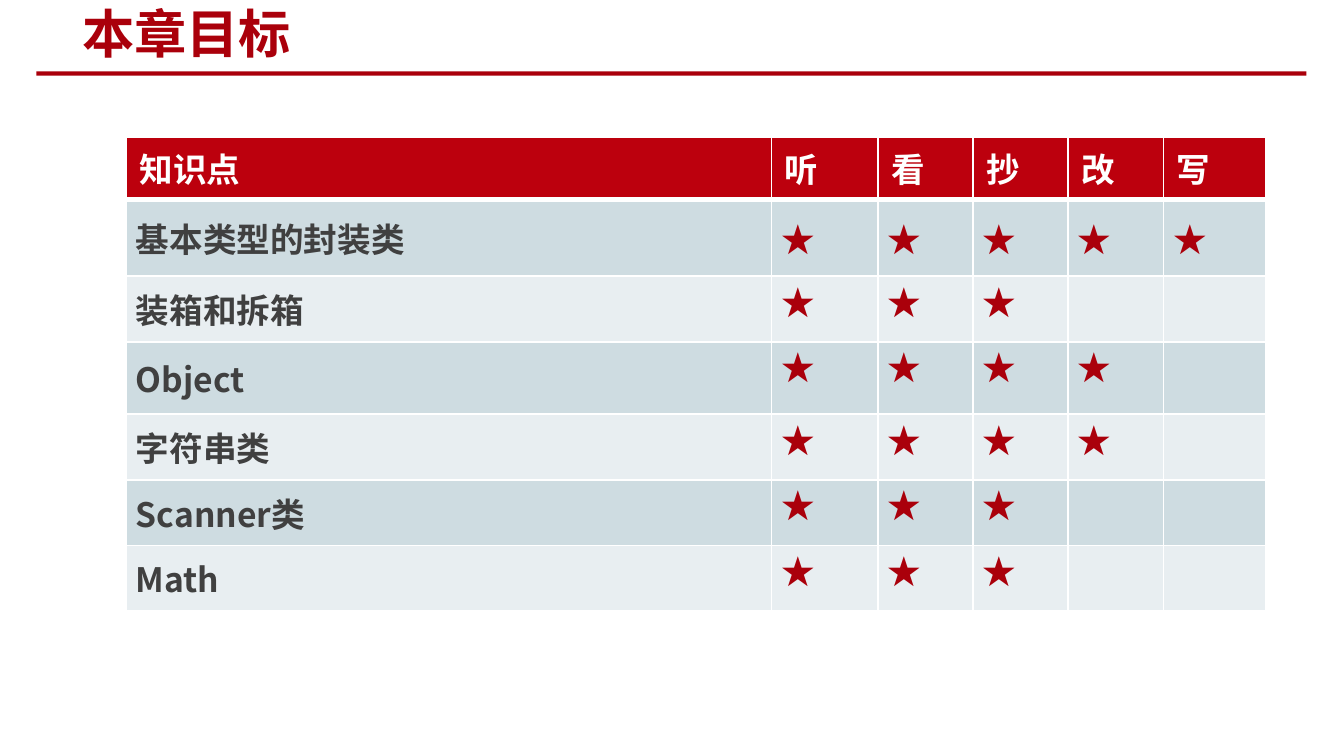
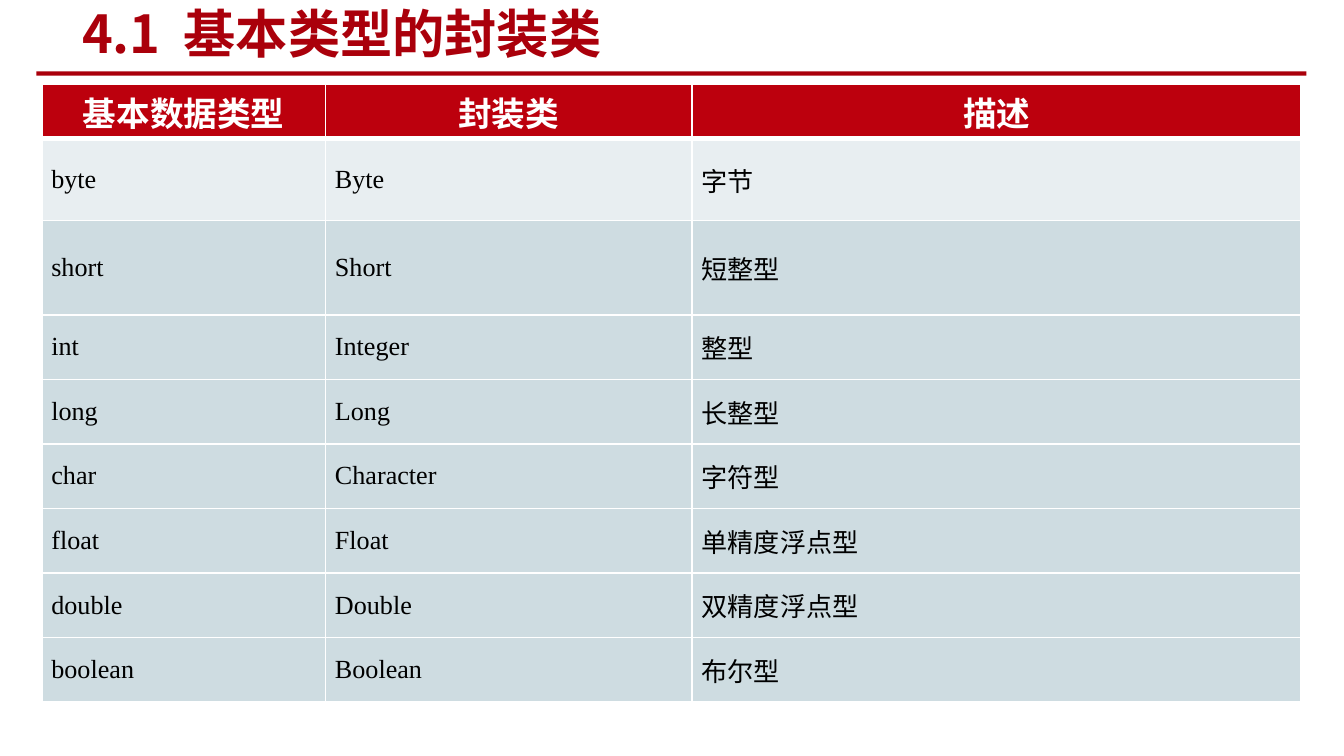
"""Build two Java course slides: the chapter goals and the wrapper classes."""
from lxml import etree
from pptx import Presentation
from pptx.dml.color import RGBColor
from pptx.enum.shapes import MSO_SHAPE
from pptx.enum.text import MSO_ANCHOR, MSO_AUTO_SIZE, PP_ALIGN
from pptx.oxml.ns import qn
from pptx.util import Cm, Pt

RECTANGLE = MSO_SHAPE.RECTANGLE
TOP, MIDDLE = MSO_ANCHOR.TOP, MSO_ANCHOR.MIDDLE
LEFT, CENTER = PP_ALIGN.LEFT, PP_ALIGN.CENTER
NO_FIT = MSO_AUTO_SIZE.NONE
TITLE_ONLY = 5

SANS, SERIF = "Noto Sans CJK SC", "Times New Roman"
RED, HEADER_RED = "AA000B", "BC000D"
DARK_BAND, LIGHT_BAND = "CEDCE1", "E8EEF1"
WHITE, BLACK, GREY = "FFFFFF", "000000", "404040"

TITLE = {"name": SANS, "size": Pt(28), "bold": True, "color": RED}
GOAL_HEADER = {"name": SANS, "size": Pt(18), "bold": True, "color": WHITE}
GOAL = {**GOAL_HEADER, "color": GREY}
STAR = {**GOAL_HEADER, "color": RED}
TYPE_HEADER = {**GOAL_HEADER, "name": SERIF}
TYPE = {"name": SERIF, "size": Pt(14), "bold": False, "color": BLACK}

WIDE_MARGINS = (Cm(0.25), Cm(0.13))
TIGHT_MARGINS = (Cm(0.18), Cm(0))

GOAL_COLUMNS = (12.19, 2.01, 1.8, 1.8, 1.8, 1.93)
GOAL_ROWS = (1.15, 1.45, 1.24, 1.37, 1.24, 1.24, 1.24)
GOAL_HEADINGS = ("知识点", "听", "看", "抄", "改", "写")
GOALS = (
    ("基本类型的封装类", 5),
    ("装箱和拆箱", 3),
    ("Object", 4),
    ("字符串类", 4),
    ("Scanner类", 3),
    ("Math", 3),
)

TYPE_COLUMNS = (5.36, 6.93, 11.51)
TYPE_ROWS = (1.02, 1.55, 1.78) + (1.22,) * 6
TYPE_HEADINGS = ("基本数据类型", "封装类", "描述")
TYPES = (
    ("byte", "Byte", "字节"),
    ("short", "Short", "短整型"),
    ("int", "Integer", "整型"),
    ("long", "Long", "长整型"),
    ("char", "Character", "字符型"),
    ("float", "Float", "单精度浮点型"),
    ("double", "Double", "双精度浮点型"),
    ("boolean", "Boolean", "布尔型"),
)


def rgb(value):
    """Return the colour for a hex string."""
    return RGBColor.from_string(value)


def set_fill(item, color):
    """Give a shape or cell a solid fill."""
    item.fill.solid()
    item.fill.fore_color.rgb = rgb(color)


def add_span(para, text, style):
    """Add a formatted run, with its East Asian font, to a paragraph."""
    span = para.add_run()
    span.text = text
    for key, value in style.items():
        if key == "color":
            span.font.color.rgb = rgb(value)
        else:
            setattr(span.font, key, value)
    properties = span.font._element
    etree.SubElement(properties, qn("a:ea"), typeface=SANS)
    return properties


def add_page(deck, heading):
    """Add a slide with the shared title and the red rule below it."""
    page = deck.slides.add_slide(deck.slide_layouts[TITLE_ONLY])
    rule = page.shapes.add_shape(RECTANGLE, Cm(0.69), Cm(1.35), Cm(24), Cm(0.08))
    rule.shadow.inherit = False
    set_fill(rule, RED)
    rule.line.fill.background()

    title = page.shapes.title
    placement = {"left": 1.3, "top": 0.05, "width": 13.46, "height": 1.14}
    for key, value in placement.items():
        setattr(title, key, Cm(value))
    frame = title.text_frame
    frame.auto_size, frame.vertical_anchor = NO_FIT, MIDDLE
    para = frame.paragraphs[0]
    para.alignment = LEFT
    for part in heading.partition(" "):
        if part:
            properties = add_span(para, part, TITLE)
            if part == " ":
                properties.set("spc", "600")
    return page


def set_borders(cell, top, bottom):
    """Draw white cell borders with the given top and bottom widths."""
    properties = cell._tc.get_or_add_tcPr()
    for side, width in (("L", 1), ("R", 1), ("T", top), ("B", bottom)):
        line = etree.SubElement(properties, qn(f"a:ln{side}"), w=str(Pt(width)))
        fill = etree.SubElement(line, qn("a:solidFill"))
        etree.SubElement(fill, qn("a:srgbClr"), val=WHITE)


def add_grid(page, left, top, columns, rows, bands):
    """Add a table with one fill per row and a thick line under its header."""
    table = page.shapes.add_table(
        len(rows), len(columns), Cm(left), Cm(top), Cm(sum(columns)), Cm(sum(rows))
    ).table
    for column, width in zip(table.columns, columns):
        column.width = Cm(width)
    for index, (row, height, band) in enumerate(zip(table.rows, rows, bands)):
        row.height = Cm(height)
        for cell in row.cells:
            set_borders(cell, 3 if index == 1 else 1, 3 if index == 0 else 1)
            set_fill(cell, band)
    return table


def write_cell(cell, text, style, anchor=MIDDLE, align=LEFT, margins=TIGHT_MARGINS):
    """Write formatted text into a table cell."""
    cell.margin_left = cell.margin_right = margins[0]
    cell.margin_top = cell.margin_bottom = margins[1]
    cell.vertical_anchor = anchor
    para = cell.text_frame.paragraphs[0]
    para.alignment = align
    add_span(para, text, style)


def add_goals(page):
    """Add the table that rates each topic with stars."""
    bands = [HEADER_RED] + [DARK_BAND, LIGHT_BAND] * 3
    table = add_grid(page, 2.39, 2.59, GOAL_COLUMNS, GOAL_ROWS, bands)
    for column, heading in enumerate(GOAL_HEADINGS):
        write_cell(table.cell(0, column), heading, GOAL_HEADER, TOP, margins=WIDE_MARGINS)
    for row, (topic, stars) in enumerate(GOALS, 1):
        write_cell(table.cell(row, 0), topic, GOAL)
        for column in range(1, stars + 1):
            write_cell(table.cell(row, column), "★", STAR, MIDDLE if row == 1 else TOP)


def add_types(page):
    """Add the table of primitive types and their wrapper classes."""
    bands = [HEADER_RED, LIGHT_BAND] + [DARK_BAND] * 7
    table = add_grid(page, 0.79, 1.6, TYPE_COLUMNS, TYPE_ROWS, bands)
    for column, heading in enumerate(TYPE_HEADINGS):
        write_cell(table.cell(0, column), heading, TYPE_HEADER, align=CENTER)
    for row, entries in enumerate(TYPES, 1):
        for column, entry in enumerate(entries):
            write_cell(table.cell(row, column), entry, TYPE)


def main():
    """Build and save the deck."""
    deck = Presentation()
    deck.slide_width, deck.slide_height = Cm(25.4), Cm(14.29)
    add_goals(add_page(deck, "本章目标"))
    add_types(add_page(deck, "4.1 基本类型的封装类"))
    deck.save("out.pptx")


if __name__ == "__main__":
    main()
